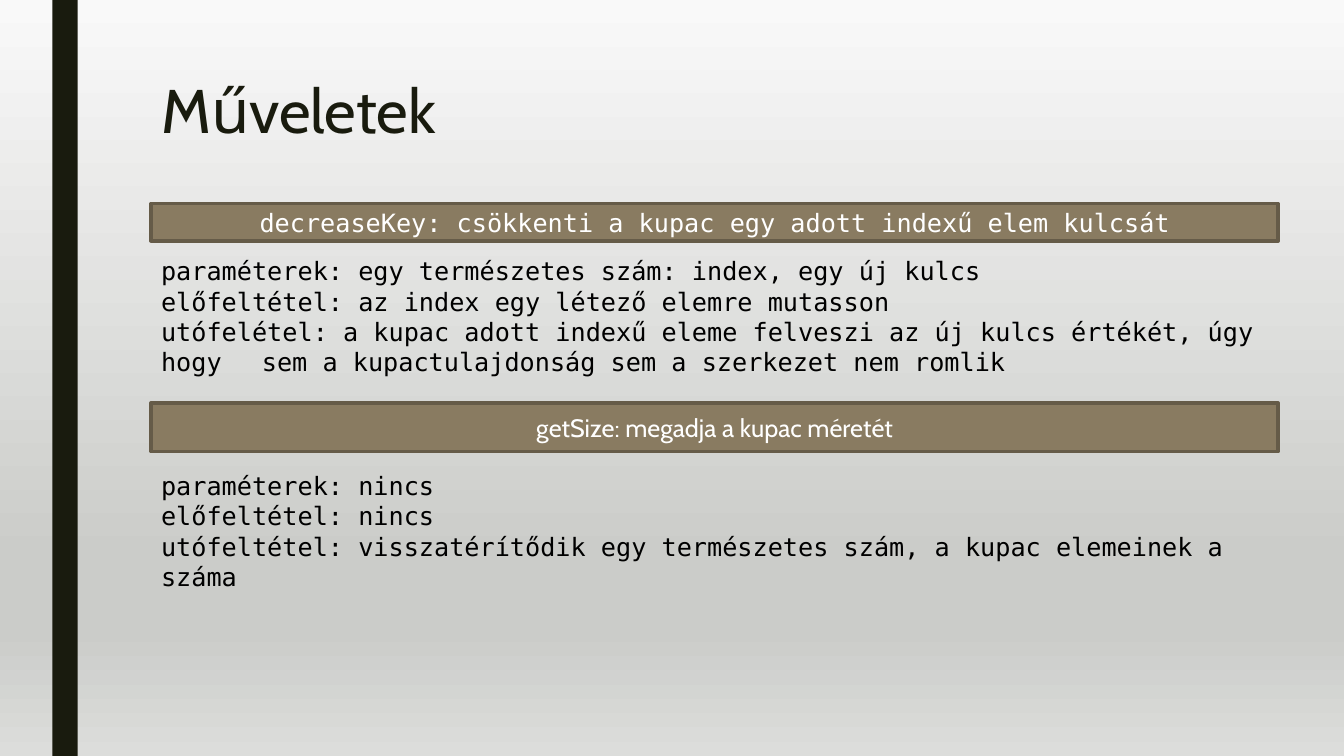
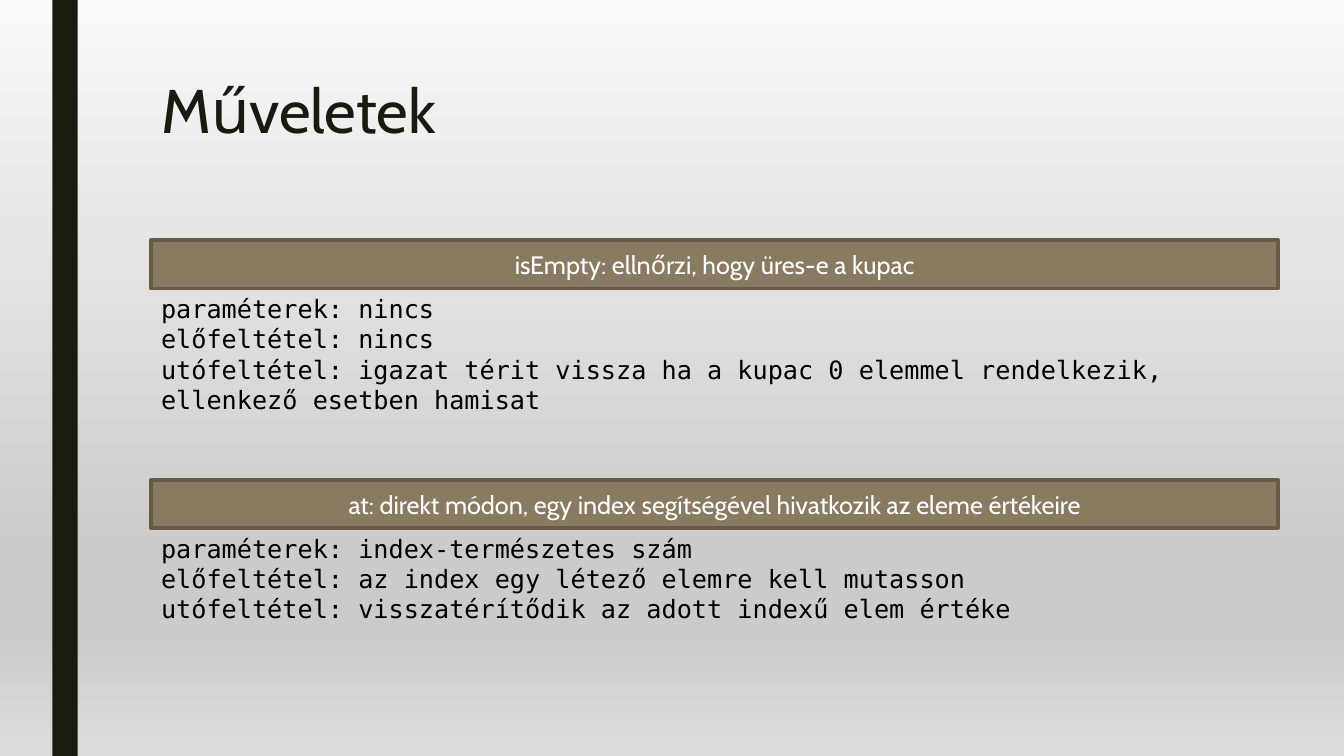
from lxml.etree import SubElement
from pptx import Presentation
from pptx.dml.color import RGBColor
from pptx.enum.shapes import MSO_SHAPE as Preset
from pptx.enum.text import MSO_ANCHOR as Anchor, MSO_AUTO_SIZE as AutoSize, PP_ALIGN as Align
from pptx.oxml.ns import qn
from pptx.util import Cm, Pt

COLORS = {
    "dark": "191B0E",
    "band": "897B61",
    "band_line": "655B48",
    "white": "FFFFFF",
    "black": "000000",
}
BACKGROUND_STOPS = [(0, "F9F9F9"), (74, "CBCCC9"), (83, "CBCCC9"), (100, "DCDDDB")]
SANS = "Cabin"
MONO = "DejaVu Sans Mono"
WIDTH, HEIGHT = 33.87, 19.05
LEFT = 3.81
BAND_HEIGHT = 1.22

SLIDES = [
    ("Műveletek", [
        {
            "top": 5.13, "height": 0.94, "gap": 0.25, "font": MONO,
            "heading": "decreaseKey: csökkenti a kupac egy adott indexű elem kulcsát",
            "lines": [
                "paraméterek: egy természetes szám: index, egy új kulcs",
                "előfeltétel: az index egy létező elemre mutasson",
                "utófelétel: a kupac adott indexű eleme felveszi az új kulcs értékét, "
                "úgy hogy \tsem a kupactulajdonság sem a szerkezet nem romlik",
            ],
        },
        {
            "top": 10.16, "gap": 0.35,
            "heading": "getSize: megadja a kupac méretét",
            "lines": [
                "paraméterek: nincs",
                "előfeltétel: nincs",
                "utófeltétel: visszatérítődik egy természetes szám, a kupac elemeinek a száma",
            ],
        },
    ]),
    ("Műveletek", [
        {
            "top": 6.05,
            "heading": "isEmpty: ellnőrzi, hogy üres-e a kupac",
            "lines": [
                "paraméterek: nincs",
                "előfeltétel: nincs",
                "utófeltétel: igazat térit vissza ha a kupac 0 elemmel rendelkezik, "
                "ellenkező esetben hamisat",
            ],
        },
        {
            "top": 12.09,
            "heading": "at: direkt módon, egy index segítségével hivatkozik az eleme értékeire",
            "lines": [
                "paraméterek: index-természetes szám",
                "előfeltétel: az index egy létező elemre kell mutasson",
                "utófeltétel: visszatérítődik az adott indexű elem értéke",
            ],
        },
    ]),
]


class Deck:
    """Holds the presentation style and the slide being built."""

    def __init__(self):
        self.presentation = Presentation()
        self.presentation.slide_width = Cm(WIDTH)
        self.presentation.slide_height = Cm(HEIGHT)
        self.slide = None
        self.style_master()

    def style_master(self):
        master = self.presentation.slide_master
        fill = master.background.fill
        fill.gradient()
        fill.gradient_angle = 270
        stop_list = master.element.xpath("p:cSld/p:bg//a:gsLst")[0]
        for stop in list(stop_list):
            stop_list.remove(stop)
        for position, color in BACKGROUND_STOPS:
            stop = SubElement(stop_list, qn("a:gs"), pos=str(position * 1000))
            SubElement(stop, qn("a:srgbClr"), val=color)

    def new_slide(self, title):
        self.slide = self.presentation.slides.add_slide(self.presentation.slide_layouts[5])
        self.rectangle(self.slide.shapes, 1.32, 0, 0.64, HEIGHT, "dark")
        self.title(title)

    def title(self, text):
        shape = self.slide.shapes.title
        shape.left, shape.top = Cm(LEFT), Cm(1.9)
        shape.width, shape.height = Cm(26.67), Cm(4.11)
        frame = shape.text_frame
        frame.auto_size = AutoSize.NONE
        frame.vertical_anchor = Anchor.TOP
        paragraph = frame.paragraphs[0]
        paragraph.line_spacing = 0.89
        self.run(paragraph, text, SANS, 44, "dark", Align.LEFT)

    def run(self, paragraph, text, font, size, color, align):
        paragraph.alignment = align
        run = paragraph.add_run()
        run.text = text
        run.font.name = font
        run.font.size = Pt(size)
        run.font.color.rgb = RGBColor.from_string(COLORS[color])

    def rectangle(self, shapes, left, top, width, height, fill, line=None):
        shape = shapes.add_shape(Preset.RECTANGLE, Cm(left), Cm(top), Cm(width), Cm(height))
        shape.shadow.inherit = False
        shape.fill.solid()
        shape.fill.fore_color.rgb = RGBColor.from_string(COLORS[fill])
        if line:
            shape.line.color.rgb = RGBColor.from_string(COLORS[line])
            shape.line.width = Pt(2.75)
        else:
            shape.line.fill.background()
        return shape

    def heading(self, shapes, text, top, height, font):
        shape = self.rectangle(shapes, LEFT, top, 28.4, height, "band", "band_line")
        frame = shape.text_frame
        frame.word_wrap = True
        frame.vertical_anchor = Anchor.MIDDLE
        self.run(frame.paragraphs[0], text, font, 18, "white", Align.CENTER)

    def description(self, shapes, lines, top):
        frame = shapes.add_textbox(Cm(LEFT), Cm(top), Cm(28.19), Cm(2.57)).text_frame
        frame.word_wrap = True
        frame.auto_size = AutoSize.SHAPE_TO_FIT_TEXT
        for index, line in enumerate(lines):
            paragraph = frame.add_paragraph() if index else frame.paragraphs[0]
            self.run(paragraph, line, MONO, 18, "black", Align.LEFT)

    def operation(self, heading, lines, top, height=BAND_HEIGHT, gap=0, font=SANS):
        shapes = self.slide.shapes.add_group_shape().shapes
        self.heading(shapes, heading, top, height, font)
        self.description(shapes, lines, top + height + gap)


def main():
    deck = Deck()
    for title, operations in SLIDES:
        deck.new_slide(title)
        for operation in operations:
            deck.operation(**operation)
    deck.presentation.save("out.pptx")


if __name__ == "__main__":
    main()
